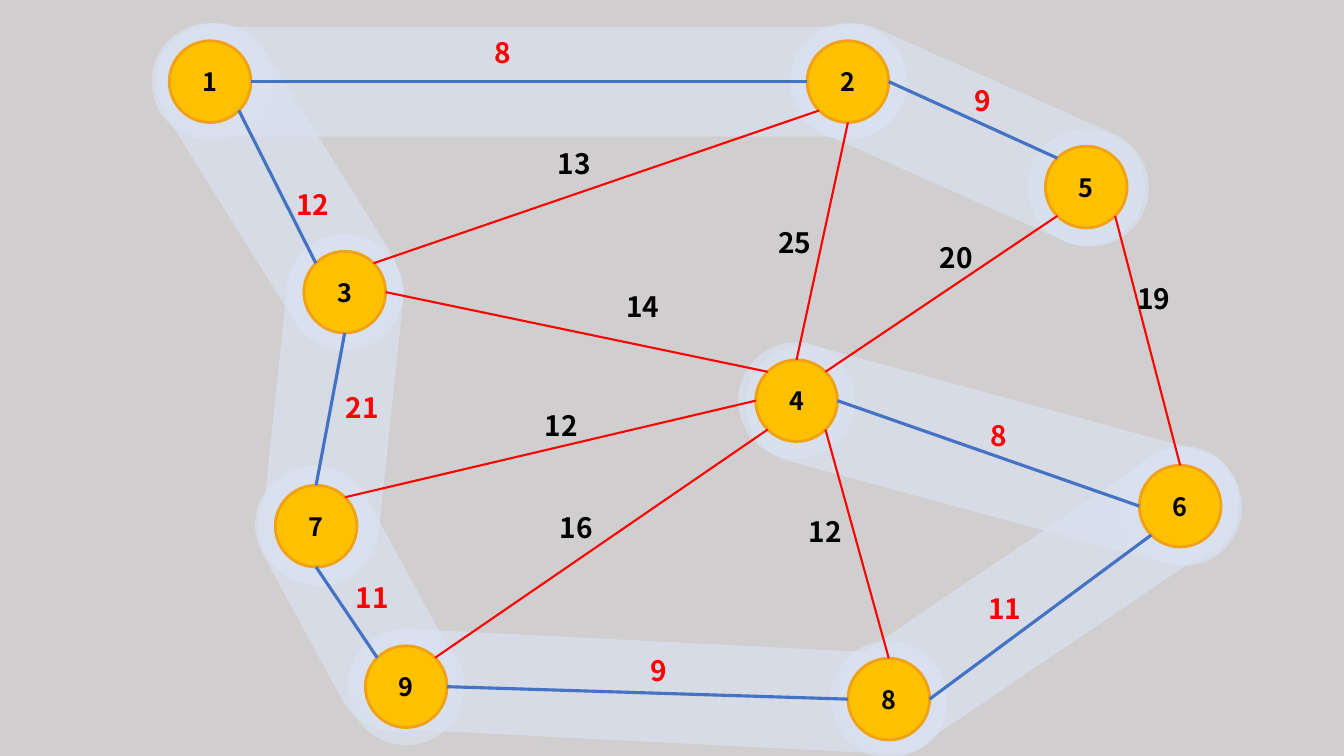
import math
from lxml import etree
from pptx import Presentation
from pptx.dml.color import RGBColor
from pptx.enum.shapes import MSO_CONNECTOR, MSO_SHAPE
from pptx.enum.text import MSO_ANCHOR, PP_ALIGN
from pptx.oxml.ns import qn
from pptx.util import Inches, Pt

OVAL, BAND = MSO_SHAPE.OVAL, MSO_SHAPE.ROUNDED_RECTANGLE
STRAIGHT = MSO_CONNECTOR.STRAIGHT
MIDDLE, CENTER = MSO_ANCHOR.MIDDLE, PP_ALIGN.CENTER
FONT = "Noto Sans CJK KR"
BLACK, RED, BLUE = "000000", "FF0000", "4472C4"
TOP, TOP_LEFT, LEFT, LOW_LEFT, LOW, LOW_RIGHT, RIGHT, TOP_RIGHT = range(8)

prs = Presentation()
prs.slide_width, prs.slide_height = Inches(13.33), Inches(7.5)
col, row = prs.slide_width / 100, prs.slide_height / 100
node_size, halo_size = 6.08 * col, 8.7 * col
label_width, label_height = 4 * col, 5.87 * row
rgb = RGBColor.from_string

nodes = {
    1: (15.63, 10.8), 2: (63.09, 10.8), 3: (25.65, 38.64),
    4: (59.27, 53), 5: (80.82, 24.74), 6: (87.81, 66.95),
    7: (23.52, 69.6), 8: (66.13, 92.48), 9: (30.22, 90.83),
}
bands = [
    (72.28, 17.87, 8.78, 28.06, 294), (39.72, 10.8, 8.18, 55.66, 270),
    (20.67, 24.2, 8.78, 26.48, 328), (24.76, 54.33, 8.7, 26.18, 6),
    (26.37, 79.2, 8.78, 21.31, 331.4), (73.93, 60.27, 8.78, 37.96, 285.2),
    (77.42, 79.13, 8.1, 33.98, 235.9), (48.54, 91.47, 7.5, 43.96, 272.9),
]
tree_edges = [
    (1, RIGHT, 2, LEFT, "8", 37.43, 6.93),
    (1, LOW_RIGHT, 3, TOP_LEFT, "12", 23.29, 27.07),
    (7, TOP, 3, LOW, "21", 26.97, 53.87),
    (5, TOP_LEFT, 2, RIGHT, "9", 73.14, 13.33),
    (4, RIGHT, 6, LEFT, "8", 74.34, 57.6),
    (8, RIGHT, 6, LOW_LEFT, "11", 74.76, 80.53),
    (7, LOW, 9, TOP_LEFT, "11", 27.72, 79.07),
    (9, RIGHT, 8, LEFT, "9", 48.99, 88.67),
]
other_edges = [
    (8, TOP, 4, LOW_RIGHT, "12", 61.4, 70.27),
    (2, LOW, 4, TOP, "25", 59.15, 32),
    (4, LOW_LEFT, 9, TOP_RIGHT, "16", 42.87, 69.73),
    (3, RIGHT, 4, TOP_LEFT, "14", 47.82, 40.53),
    (3, TOP_RIGHT, 2, LOW_LEFT, "13", 42.72, 21.6),
    (7, TOP_RIGHT, 4, LEFT, "12", 41.75, 56.27),
    (5, LOW_LEFT, 4, TOP_RIGHT, "20", 71.16, 34),
    (5, LOW_RIGHT, 6, TOP, "19", 85.86, 39.47),
]


def centred(x, y, w, h):
    return [round(v) for v in (x * col - w / 2, y * row - h / 2, w, h)]


def write(s, text, size, color):
    tf = s.text_frame
    tf.word_wrap = False
    tf.vertical_anchor = MIDDLE
    p = tf.paragraphs[0]
    p.text = text
    p.alignment = CENTER
    p.font.name, p.font.size, p.font.bold = FONT, Pt(size), True
    p.font.color.rgb = rgb(color)


s = prs.slides.add_slide(prs.slide_layouts[6])
s.background.fill.solid()
s.background.fill.fore_color.rgb = rgb("D0CECE")

glows = []
for x, y, width, length, angle in bands:
    sp = s.shapes.add_shape(BAND, *centred(x, y, width * col, length * col))
    sp.adjustments[0] = 0.5
    sp.rotation = angle
    glows.append(sp)
for x, y in nodes.values():
    glows.append(s.shapes.add_shape(OVAL, *centred(x, y, halo_size, halo_size)))
for sp in glows:
    sp.shadow.inherit = False
    sp.fill.solid()
    sp.fill.fore_color.rgb = rgb("DAE3F3")
    sp.line.fill.background()
    color = sp._element.spPr.find(qn("a:solidFill"))[0]
    etree.SubElement(color, qn("a:alpha"), val="63000")

circles = {}
for number, (x, y) in nodes.items():
    sp = s.shapes.add_shape(OVAL, *centred(x, y, node_size, node_size))
    sp.shadow.inherit = False
    sp.fill.solid()
    sp.fill.fore_color.rgb = rgb("FFC000")
    sp.line.color.rgb = rgb("F1A116")
    sp.line.width = Pt(2)
    write(sp, str(number), 18, BLACK)
    circles[number] = sp

for edges, line_color, weight, text_color in (
    (tree_edges, BLUE, 2.25, RED),
    (other_edges, RED, 1.5, BLACK),
):
    for start, start_site, end, end_site, cost, x, y in edges:
        points = []
        for number, site in ((start, start_site), (end, end_site)):
            angle = math.radians(90 + 45 * site)
            cx, cy = nodes[number]
            points.append(round(cx * col + node_size / 2 * math.cos(angle)))
            points.append(round(cy * row - node_size / 2 * math.sin(angle)))
        cxn = s.shapes.add_connector(STRAIGHT, *points)
        cxn.line.color.rgb = rgb(line_color)
        cxn.line.width = Pt(weight)
        etree.SubElement(cxn._element.spPr, qn("a:effectLst"))
        glue = cxn._element.nvCxnSpPr.cNvCxnSpPr
        for tag, number, site in (
            ("a:stCxn", start, start_site),
            ("a:endCxn", end, end_site),
        ):
            etree.SubElement(
                glue, qn(tag), id=str(circles[number].shape_id), idx=str(site)
            )
        label = s.shapes.add_textbox(*centred(x, y, label_width, label_height))
        write(label, cost, 20, text_color)

prs.save("out.pptx")
